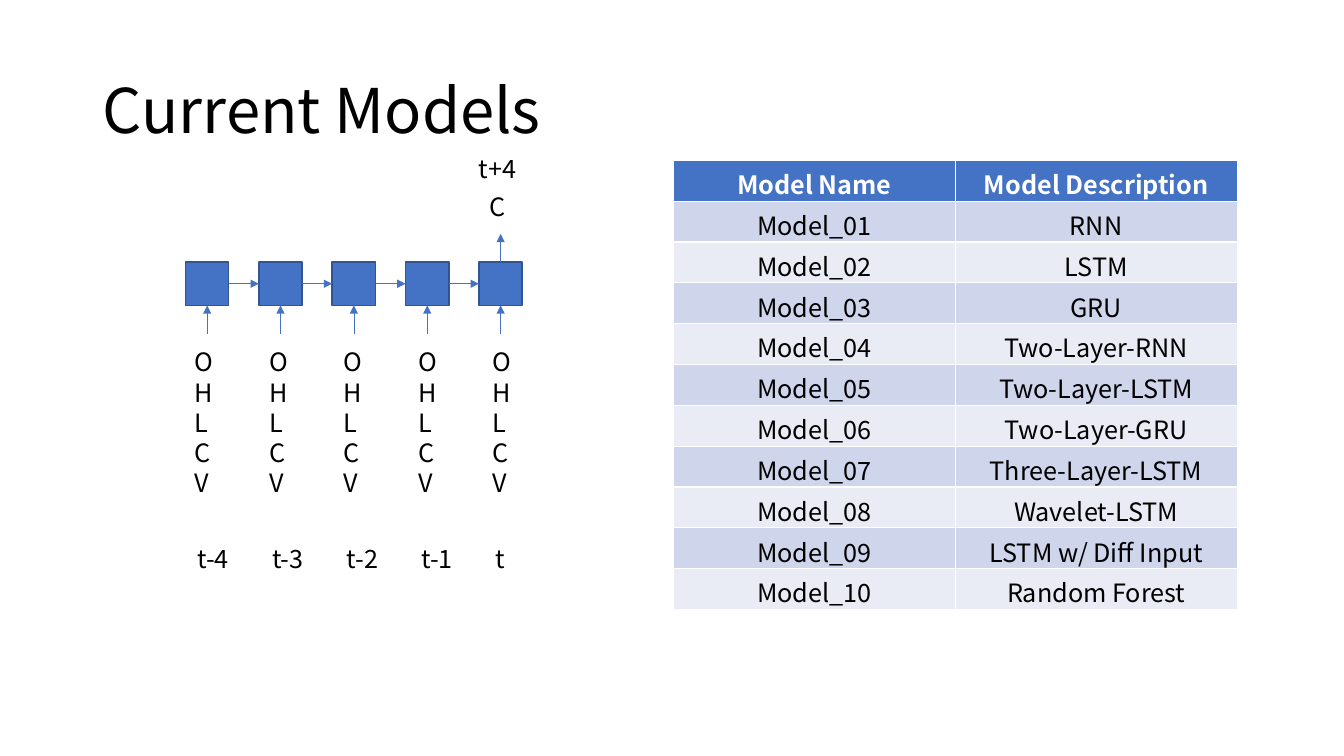
from lxml.etree import SubElement
from pptx import Presentation
from pptx.dml.color import RGBColor
from pptx.enum.shapes import MSO_CONNECTOR as Conn, MSO_SHAPE as Shape
from pptx.enum.text import MSO_ANCHOR as Anchor, MSO_AUTO_SIZE as Auto, PP_ALIGN as Align
from pptx.oxml.ns import qn
from pptx.util import Inches, Pt

# Content
TITLE = "Current Models"
STEPS = [("t-4", 0.52), ("t-3", 0.52), ("t-2", 0.52), ("t-1", 0.52), ("t", 0.29)]
INPUTS = ["O", "H", "L", "C", "V"]
OUTPUTS = [("t+4", 4.65, 1.47, 0.61), ("C", 4.76, 1.85, 0.36)]
HEAD = ("Model Name", "Model Description")
MODELS = [
    "RNN", "LSTM", "GRU", "Two-Layer-RNN", "Two-Layer-LSTM", "Two-Layer-GRU",
    "Three-Layer-LSTM", "Wavelet-LSTM", "LSTM w/ Diff Input", "Random Forest",
]

# Style
FONT = "Noto Sans CJK KR"
BLACK = RGBColor(0x00, 0x00, 0x00)
WHITE = RGBColor(0xFF, 0xFF, 0xFF)
BLUE = RGBColor(0x44, 0x72, 0xC4)
EDGE = RGBColor(0x32, 0x54, 0x91)
BANDS = [RGBColor(0xE9, 0xEB, 0xF5), RGBColor(0xCF, 0xD5, 0xEA)]

# Diagram layout, in inches
FIRST, LAST, TOP, SIDE = 1.84, 4.75, 2.6, 0.43
PITCH = (LAST - FIRST) / (len(STEPS) - 1)
TEXT_X, TEXT_PITCH = 1.83, 0.74
STEM = 0.28

deck = Presentation()
deck.slide_width, deck.slide_height = Inches(13.33), Inches(7.5)
slide = deck.slides.add_slide(deck.slide_layouts[5])
shapes = slide.shapes


def style(par, size=18, color=BLACK, bold=False):
    font = par.font
    font.name, font.size, font.bold = FONT, Pt(size), bold
    font.color.rgb = color


def label(lines, x, y, width):
    height = 0.1 + 0.3 * len(lines)
    box = shapes.add_textbox(Inches(x), Inches(y), Inches(width), Inches(height))
    frame = box.text_frame
    frame.text = "\n".join(lines)
    frame.word_wrap = False
    frame.auto_size = Auto.SHAPE_TO_FIT_TEXT
    for par in frame.paragraphs:
        style(par)


def arrow(x1, y1, x2, y2):
    line = shapes.add_connector(
        Conn.STRAIGHT, Inches(x1), Inches(y1), Inches(x2), Inches(y2))
    line.line.color.rgb = BLUE
    line.line.width = Pt(0.5)
    SubElement(line.line._get_or_add_ln(), qn("a:tailEnd"), type="triangle")
    SubElement(line._element.spPr, qn("a:effectLst"))
    return line


# Title
title = shapes.title
title.left, title.top = Inches(0.92), Inches(0.4)
title.width, title.height = Inches(11.5), Inches(1.45)
title.text_frame.text = TITLE
title.text_frame.vertical_anchor = Anchor.MIDDLE
par = title.text_frame.paragraphs[0]
par.alignment, par.line_spacing = Align.LEFT, 0.9
style(par, 44)

# Chain of cells with their inputs
cells = []
for i, (step, width) in enumerate(STEPS):
    x = FIRST + i * PITCH
    mid = x + SIDE / 2
    cell = shapes.add_shape(
        Shape.RECTANGLE, Inches(x), Inches(TOP), Inches(SIDE), Inches(SIDE))
    cell.shadow.inherit = False
    cell.fill.solid()
    cell.fill.fore_color.rgb = BLUE
    cell.line.color.rgb = EDGE
    cell.line.width = Pt(1)
    cells.append(cell)
    base = TOP + SIDE
    arrow(mid, base + STEM, mid, base).end_connect(cell, 2)
    left = TEXT_X + i * TEXT_PITCH
    label(INPUTS, left, 3.39, 0.4)
    label([step], left + 0.03, 5.34, width)

for one, two in zip(cells, cells[1:]):
    link = arrow(0, 0, 1, 0)
    link.begin_connect(one, 3)
    link.end_connect(two, 1)

# Output of the last cell
mid = LAST + SIDE / 2
arrow(mid, TOP, mid, TOP - STEM).begin_connect(cells[-1], 0)
for text, x, y, width in OUTPUTS:
    label([text], x, y, width)

# Model table
rows = [HEAD] + [(f"Model_{n:02}", name) for n, name in enumerate(MODELS, 1)]
table = shapes.add_table(
    len(rows), len(HEAD), Inches(6.68), Inches(1.59), Inches(5.59), Inches(4.46)).table
for r, row in enumerate(rows):
    for c, text in enumerate(row):
        cell = table.cell(r, c)
        cell.text = text
        cell.fill.solid()
        cell.fill.fore_color.rgb = BANDS[r % 2] if r else BLUE
        par = cell.text_frame.paragraphs[0]
        par.alignment = Align.CENTER
        style(par, color=BLACK if r else WHITE, bold=r == 0)

deck.save("out.pptx")
